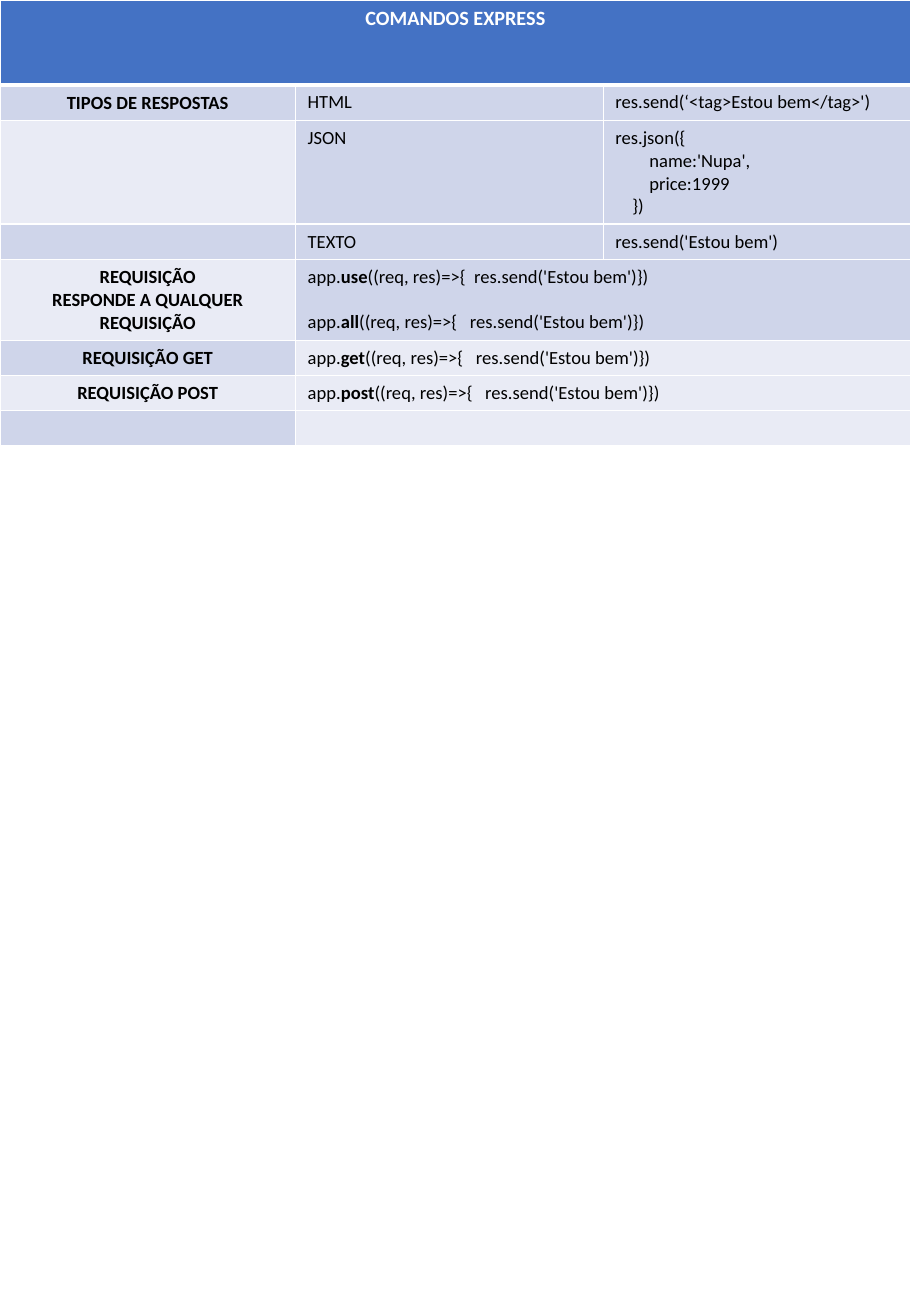
from lxml.etree import SubElement
from pptx import Presentation
from pptx.dml.color import RGBColor
from pptx.enum.text import MSO_ANCHOR as Anchor, PP_ALIGN as Align
from pptx.oxml.ns import qn
from pptx.util import Inches, Pt

BLUE, BAND, PALE = "4472C4", "CFD5EA", "E9EBF5"
WHITE, BLACK = "FFFFFF", "000000"
COLUMN_WIDTHS = [2.43, 2.53, 2.53]
ROW_HEIGHTS = [0.7, 0.29, 0.85, 0.29, 0.66, 0.29, 0.29, 0.29]
CODE_INDENT = 0.14

RESPONSES = [
    ("TIPOS DE RESPOSTAS", BAND, "HTML", [(0, "res.send(‘<tag>Estou bem</tag>')")]),
    ("", PALE, "JSON", [(0, "res.json({"), (2, "name:'Nupa',"),
                        (2, "price:1999"), (1, "})")]),
    ("", BAND, "TEXTO", [(0, "res.send('Estou bem')")]),
]
REQUESTS = [
    ("REQUISIÇÃO\vRESPONDE A QUALQUER REQUISIÇÃO", PALE, BAND,
     [("use", "((req, res)=>{  res.send('Estou bem')})"),
      ("all", "((req, res)=>{   res.send('Estou bem')})")]),
    ("REQUISIÇÃO GET", BAND, PALE,
     [("get", "((req, res)=>{   res.send('Estou bem')})")]),
    ("REQUISIÇÃO POST", PALE, PALE,
     [("post", "((req, res)=>{   res.send('Estou bem')})")]),
    ("", BAND, PALE, []),
]


def rgb(color):
    return RGBColor.from_string(color)


def style_paragraph(paragraph, size=11, color=BLACK, bold=False):
    paragraph.font.name = "Calibri"
    paragraph.font.size = Pt(size)
    paragraph.font.bold = bold
    paragraph.font.color.rgb = rgb(color)


def style_cell(cell, fill, bottom=1):
    properties = cell._tc.get_or_add_tcPr()
    for side, width in (("L", 1), ("R", 1), ("T", 1), ("B", bottom)):
        border = SubElement(properties, qn(f"a:ln{side}"), w=str(Pt(width)))
        paint = SubElement(border, qn("a:solidFill"))
        SubElement(paint, qn("a:srgbClr"), val=WHITE)
    cell.fill.solid()
    cell.fill.fore_color.rgb = rgb(fill)
    paragraph = cell.text_frame.paragraphs[0]
    style_paragraph(paragraph)
    SubElement(paragraph._p, qn("a:endParaRPr"), sz="1100")


def next_paragraph(cell, index):
    frame = cell.text_frame
    return frame.add_paragraph() if index else frame.paragraphs[0]


def write_label(cell, text, size=11, color=BLACK, anchor=Anchor.MIDDLE):
    if not text:
        return
    cell.vertical_anchor = anchor
    label = cell.text_frame.paragraphs[0]
    label.text = text
    label.alignment = Align.CENTER
    style_paragraph(label, size, color, True)


def write_code(cell, lines):
    for index, (level, text) in enumerate(lines):
        line = next_paragraph(cell, index)
        line.text = text
        style_paragraph(line)
        if level:
            line._p.get_or_add_pPr().set("marL", str(Inches(level * CODE_INDENT)))


def write_routes(cell, routes):
    for index, (method, handler) in enumerate(routes):
        route = next_paragraph(cell, index)
        style_paragraph(route)
        if index:
            route.space_before = Pt(13.4)
        for text in ("app.", method, handler):
            run = route.add_run()
            run.text = text
            run.font.bold = text == method


def add_commands_table(slide, left, top, width):
    table = slide.shapes.add_table(
        len(ROW_HEIGHTS), len(COLUMN_WIDTHS), Inches(left), Inches(top),
        Inches(width), Inches(sum(ROW_HEIGHTS))).table
    table.first_row = table.horz_banding = False
    for column, share in zip(table.columns, COLUMN_WIDTHS):
        column.width = Inches(width * share / sum(COLUMN_WIDTHS))
    for row, height in zip(table.rows, ROW_HEIGHTS):
        row.height = Inches(height)

    title = table.cell(0, 0)
    for column in range(3):
        style_cell(table.cell(0, column), BLUE, 3)
    title.merge(table.cell(0, 2))
    write_label(title, "COMANDOS EXPRESS", 12, WHITE, Anchor.TOP)

    for row, (label, fill, kind, code) in enumerate(RESPONSES, 1):
        for column, color in enumerate((fill, BAND, BAND)):
            style_cell(table.cell(row, column), color)
        write_label(table.cell(row, 0), label)
        write_code(table.cell(row, 1), [(0, kind)])
        write_code(table.cell(row, 2), code)

    for row, (label, fill, code_fill, routes) in enumerate(REQUESTS, 1 + len(RESPONSES)):
        for column, color in enumerate((fill, code_fill, code_fill)):
            style_cell(table.cell(row, column), color)
        table.cell(row, 1).merge(table.cell(row, 2))
        write_label(table.cell(row, 0), label)
        write_routes(table.cell(row, 1), routes)


def main():
    deck = Presentation()
    deck.slide_width, deck.slide_height = Inches(7.5), Inches(10.83)
    slide = deck.slides.add_slide(deck.slide_layouts[6])
    add_commands_table(slide, 0, 0, 7.5)
    deck.save("out.pptx")


if __name__ == "__main__":
    main()
